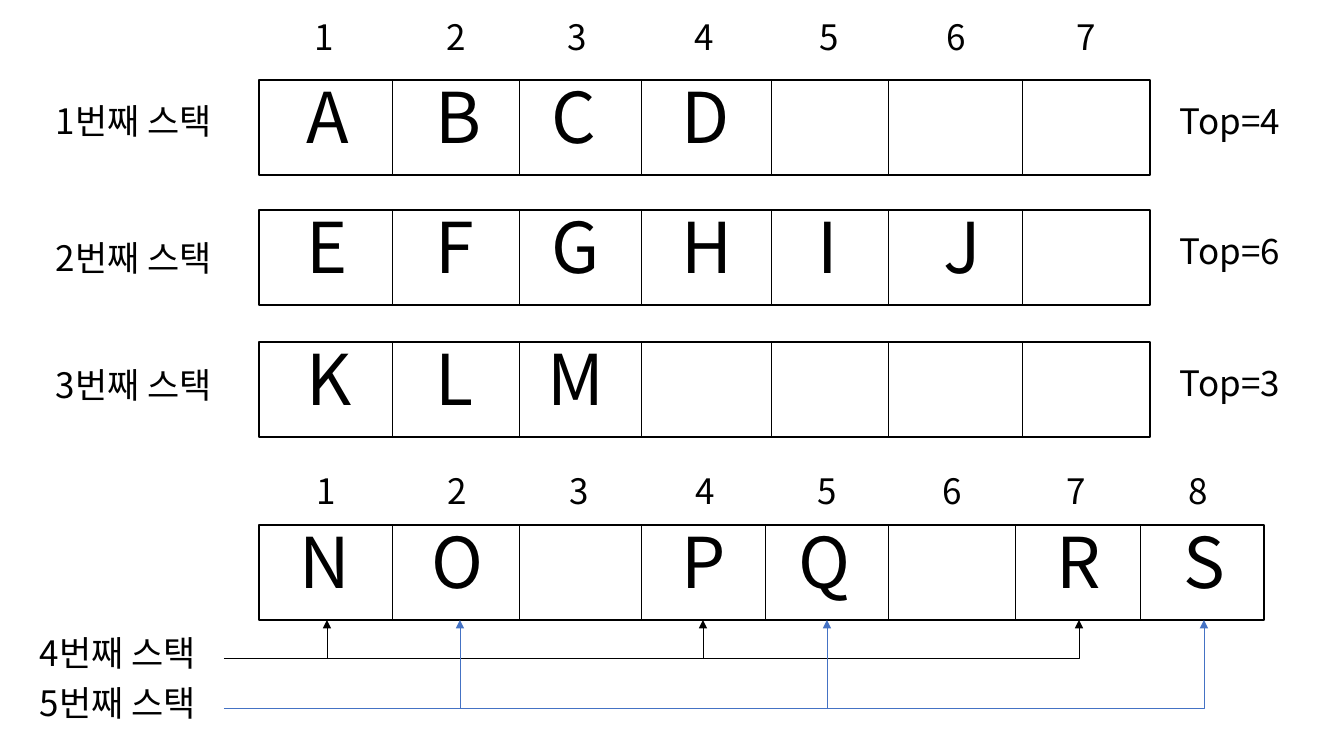
from lxml import etree
from pptx import Presentation
from pptx.dml.color import RGBColor
from pptx.enum.shapes import MSO_CONNECTOR, MSO_SHAPE
from pptx.enum.text import MSO_ANCHOR, PP_ALIGN
from pptx.oxml.ns import qn
from pptx.util import Pt

THEME = {
    "font": "Noto Sans CJK KR",
    "black": RGBColor(0, 0, 0),
    "blue": RGBColor(0x44, 0x72, 0xC4),
    "label_size": 25,
    "letter_size": 50,
    "frame_line": 1,
    "thin_line": 0.5,
    "line_spacing": 0.89,
}

# Each letter: text, left, width
STACKS = [
    {"name": "1번째 스택", "name_top": 100, "top": 80, "status": "Top=4",
     "letters": [("A", 297, 66), ("B", 426, 61), ("C", 542, 66), ("D", 672, 71)]},
    {"name": "2번째 스택", "name_top": 237, "top": 210, "status": "Top=6",
     "letters": [("E", 297, 56), ("F", 426, 55), ("G", 542, 70), ("H", 672, 71),
                 ("I", 808, 39), ("J", 934, 45)]},
    {"name": "3번째 스택", "name_top": 364, "top": 342, "status": "Top=3",
     "letters": [("K", 297, 62), ("L", 426, 54), ("M", 538, 86)]},
]
STACK_EDGES = [259, 392, 519, 641, 771, 888, 1022, 1150]
STACK_INDEX_LEFTS = [305, 437, 558, 685, 810, 937, 1067]

SHARED = {
    "top": 525,
    "letters": [("N", 290, 75), ("O", 422, 75), ("P", 672, 60), ("Q", 789, 75),
                ("R", 1047, 64), ("S", 1174, 60)],
}
SHARED_EDGES = [259, 392, 519, 641, 765, 888, 1015, 1140, 1264]
SHARED_INDEX_LEFTS = [307, 438, 560, 686, 808, 933, 1057, 1179]

LINKS = [
    {"name": "4번째 스택", "y": 658, "color": "black", "cells": [327, 703, 1079]},
    {"name": "5번째 스택", "y": 708, "color": "blue", "cells": [460, 827, 1204]},
]

SCALE = 914400 / 100.8
ROW_HEIGHT, LABEL_HEIGHT = 95, 52
NAME_LEFT, LINK_NAME_LEFT, NAME_WIDTH = 46, 30, 194
STATUS_LEFT, STATUS_WIDTH, INDEX_WIDTH = 1170, 122, 40
STACK_INDEX_TOP, SHARED_INDEX_TOP = 16, 470
LINK_START = 224


def emu(pixels):
    """Turn pixels into EMU."""
    return round(pixels * SCALE)


def add_text(slide, text, left, top, width, height, size):
    """Add one line of black text."""
    box = slide.shapes.add_textbox(*map(emu, (left, top, width, height)))
    frame = box.text_frame
    frame_format = {"word_wrap": True, "margin_right": 0, "margin_bottom": 0,
                    "vertical_anchor": MSO_ANCHOR.TOP}
    for attribute, value in frame_format.items():
        setattr(frame, attribute, value)
    paragraph = frame.paragraphs[0]
    paragraph.alignment = PP_ALIGN.LEFT
    paragraph.line_spacing = THEME["line_spacing"]
    run = paragraph.add_run()
    run.text = text
    for attribute, value in {"name": THEME["font"], "size": Pt(size)}.items():
        setattr(run.font, attribute, value)
    run.font.color.rgb = THEME["black"]
    east_asian = etree.SubElement(run.font._element, qn("a:ea"))
    east_asian.set("typeface", THEME["font"])


def add_label(slide, text, left, top, width):
    """Add a label in the small type size."""
    add_text(slide, text, left, top, width, LABEL_HEIGHT, THEME["label_size"])


def add_line(slide, start, end, color="black", arrow=False, bent=False):
    """Add a thin line, with an optional arrowhead or a single corner."""
    kind = MSO_CONNECTOR.ELBOW if bent else MSO_CONNECTOR.STRAIGHT
    line = slide.shapes.add_connector(kind, *map(emu, start + end))
    line.line.color.rgb = THEME[color]
    line.line.width = Pt(THEME["thin_line"])
    properties = line._element.spPr
    if bent:
        properties.find(qn("a:prstGeom")).set("prst", "bentConnector2")
    if arrow:
        etree.SubElement(line.line._get_or_add_ln(), qn("a:tailEnd")).set("type", "triangle")
    etree.SubElement(properties, qn("a:effectLst"))


def add_row(slide, row, edges):
    """Add a frame, its dividers and its letters."""
    top = row["top"]
    frame = slide.shapes.add_shape(
        MSO_SHAPE.RECTANGLE, *map(emu, (edges[0], top, edges[-1] - edges[0], ROW_HEIGHT)))
    frame.shadow.inherit = False
    frame.fill.background()
    frame.line.color.rgb = THEME["black"]
    frame.line.width = Pt(THEME["frame_line"])
    for x in edges[1:-1]:
        add_line(slide, (x, top), (x, top + ROW_HEIGHT))
    for letter, left, width in row["letters"]:
        add_text(slide, letter, left, top - 1, width, ROW_HEIGHT, THEME["letter_size"])


def add_indices(slide, lefts, top):
    """Number the cells from one."""
    for number, left in enumerate(lefts, start=1):
        add_label(slide, str(number), left, top, INDEX_WIDTH)


def add_link(slide, link, target):
    """Join a stack name to its cells in the shared row."""
    y, color = link["y"], link["color"]
    add_label(slide, link["name"], LINK_NAME_LEFT, y - LABEL_HEIGHT / 2, NAME_WIDTH)
    *inner, last = link["cells"]
    add_line(slide, (LINK_START, y), (last, target), color, arrow=True, bent=True)
    for x in inner:
        add_line(slide, (x, y), (x, target), color, arrow=True)


def main():
    """Build the slide and save it."""
    deck = Presentation()
    deck.slide_width, deck.slide_height = emu(1344), emu(756)
    slide = deck.slides.add_slide(deck.slide_layouts[6])
    add_indices(slide, STACK_INDEX_LEFTS, STACK_INDEX_TOP)
    for stack in STACKS:
        add_label(slide, stack["name"], NAME_LEFT, stack["name_top"], NAME_WIDTH)
        add_row(slide, stack, STACK_EDGES)
        add_label(slide, stack["status"], STATUS_LEFT, stack["top"] + 20, STATUS_WIDTH)
    add_indices(slide, SHARED_INDEX_LEFTS, SHARED_INDEX_TOP)
    add_row(slide, SHARED, SHARED_EDGES)
    for link in LINKS:
        add_link(slide, link, SHARED["top"] + ROW_HEIGHT)
    deck.save("out.pptx")


main()
